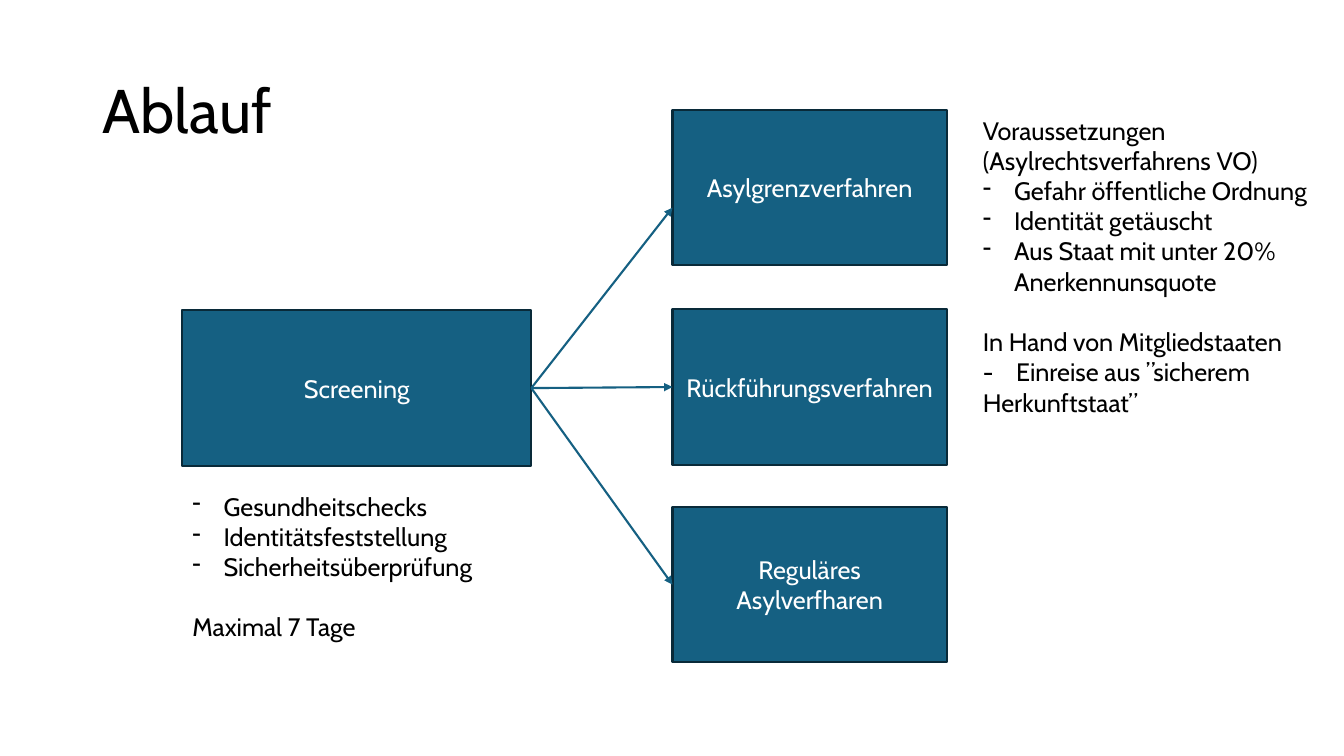
from lxml import etree
from pptx import Presentation
from pptx import util as u
from pptx.dml.color import RGBColor
from pptx.enum import shapes, text
from pptx.oxml.ns import qn

COLORS = {"box": "156082", "edge": "092A39", "ink": "000000", "light": "FFFFFF"}


class ProcessSlide:
    """Holds the slide and its style, and draws each kind of element."""

    font = "Cabin"
    line_width = u.Pt(1.5)
    hang = u.Inches(0.31)
    line_gap = u.Pt(21.6)

    def __init__(self, deck):
        self.slide = deck.slides.add_slide(deck.slide_layouts[5])

    def color(self, name):
        return RGBColor.from_string(COLORS[name])

    def place(self, shape, bounds):
        for side, value in zip(("left", "top", "width", "height"), bounds):
            setattr(shape, side, u.Inches(value))

    def add_words(self, paragraph, words, color="ink", size=18, **settings):
        run = paragraph.add_run()
        run.text = words
        for key, value in {"name": self.font, "size": u.Pt(size)}.items():
            setattr(run.font, key, value)
        run.font.color.rgb = self.color(color)
        for key, value in settings.items():
            setattr(paragraph, key, value)

    def outline(self, line, color):
        line.color.rgb = self.color(color)
        line.width = self.line_width

    def title(self, words, bounds):
        heading = self.slide.shapes.title
        self.place(heading, bounds)
        frame = heading.text_frame
        settings = {"vertical_anchor": text.MSO_ANCHOR.MIDDLE,
                    "auto_size": text.MSO_AUTO_SIZE.NONE, "word_wrap": True}
        for key, value in settings.items():
            setattr(frame, key, value)
        self.add_words(frame.paragraphs[0], words, size=44,
                       alignment=text.PP_ALIGN.LEFT, line_spacing=0.9)

    def box(self, words, bounds):
        step = self.slide.shapes.add_shape(
            shapes.MSO_SHAPE.RECTANGLE, *map(u.Inches, bounds))
        step.shadow.inherit = False
        step.fill.solid()
        step.fill.fore_color.rgb = self.color("box")
        self.outline(step.line, "edge")
        step.text_frame.word_wrap = True
        step.text_frame.vertical_anchor = text.MSO_ANCHOR.MIDDLE
        self.add_words(step.text_frame.paragraphs[0], words, "light",
                       alignment=text.PP_ALIGN.CENTER)
        return step

    def arrow(self, source, target, end_y=None):
        link = self.slide.shapes.add_connector(
            shapes.MSO_CONNECTOR.STRAIGHT, source.left + source.width,
            source.top + source.height // 2, target.left,
            end_y or target.top + target.height // 2)
        link.begin_connect(source, 3)
        if end_y is None:
            link.end_connect(target, 1)
        self.outline(link.line, "box")
        props = link._element.spPr
        etree.SubElement(props.find(qn("a:ln")), qn("a:tailEnd"), type="triangle")
        etree.SubElement(props, qn("a:effectLst"))

    def notes(self, bounds, entries):
        frame = self.slide.shapes.add_textbox(*map(u.Inches, bounds)).text_frame
        frame.word_wrap = True
        frame.auto_size = text.MSO_AUTO_SIZE.SHAPE_TO_FIT_TEXT
        for index, (kind, words) in enumerate(entries):
            paragraph = frame.add_paragraph() if index else frame.paragraphs[0]
            gap = self.line_gap if kind == "section" else 0
            self.add_words(paragraph, words, space_before=gap)
            props = paragraph._p.get_or_add_pPr()
            if kind == "bullet":
                props.set("marL", str(self.hang))
                props.set("indent", str(-self.hang))
                etree.SubElement(props, qn("a:buFontTx"))
                etree.SubElement(props, qn("a:buChar"), char="-")
            elif kind == "tabbed":
                stops = etree.SubElement(props, qn("a:tabLst"))
                etree.SubElement(stops, qn("a:tab"), pos=str(u.Inches(0.33)), algn="l")


def main():
    deck = Presentation()
    deck.slide_width, deck.slide_height = u.Inches(13.33), u.Inches(7.5)
    page = ProcessSlide(deck)
    page.title("Ablauf", (0.92, 0.4, 11.5, 1.45))

    screening = page.box("Screening", (1.81, 3.08, 3.46, 1.54))
    procedures = [
        ("Asylgrenzverfahren", 1.09, u.Inches(2.06)),
        ("Rückführungsverfahren", 3.07, None),
        ("Reguläres Asylverfharen", 5.03, None),
    ]
    for name, top, end_y in procedures:
        procedure = page.box(name, (6.67, top, 2.72, 1.54))
        page.arrow(screening, procedure, end_y)

    page.notes((1.81, 4.82, 3.46, 1.62), [
        ("bullet", "Gesundheitschecks"),
        ("bullet", "Identitätsfeststellung"),
        ("bullet", "Sicherheitsüberprüfung"),
        ("section", "Maximal 7 Tage"),
    ])
    page.notes((9.65, 1.09, 3.46, 3.13), [
        ("plain", "Voraussetzungen"),
        ("plain", "(Asylrechtsverfahrens VO)"),
        ("bullet", "Gefahr öffentliche Ordnung"),
        ("bullet", "Identität getäuscht"),
        ("bullet", "Aus Staat mit unter 20% Anerkennunsquote"),
        ("section", "In Hand von Mitgliedstaaten"),
        ("tabbed", "-\tEinreise aus ”sicherem Herkunftstaat”"),
    ])
    deck.save("out.pptx")


if __name__ == "__main__":
    main()
